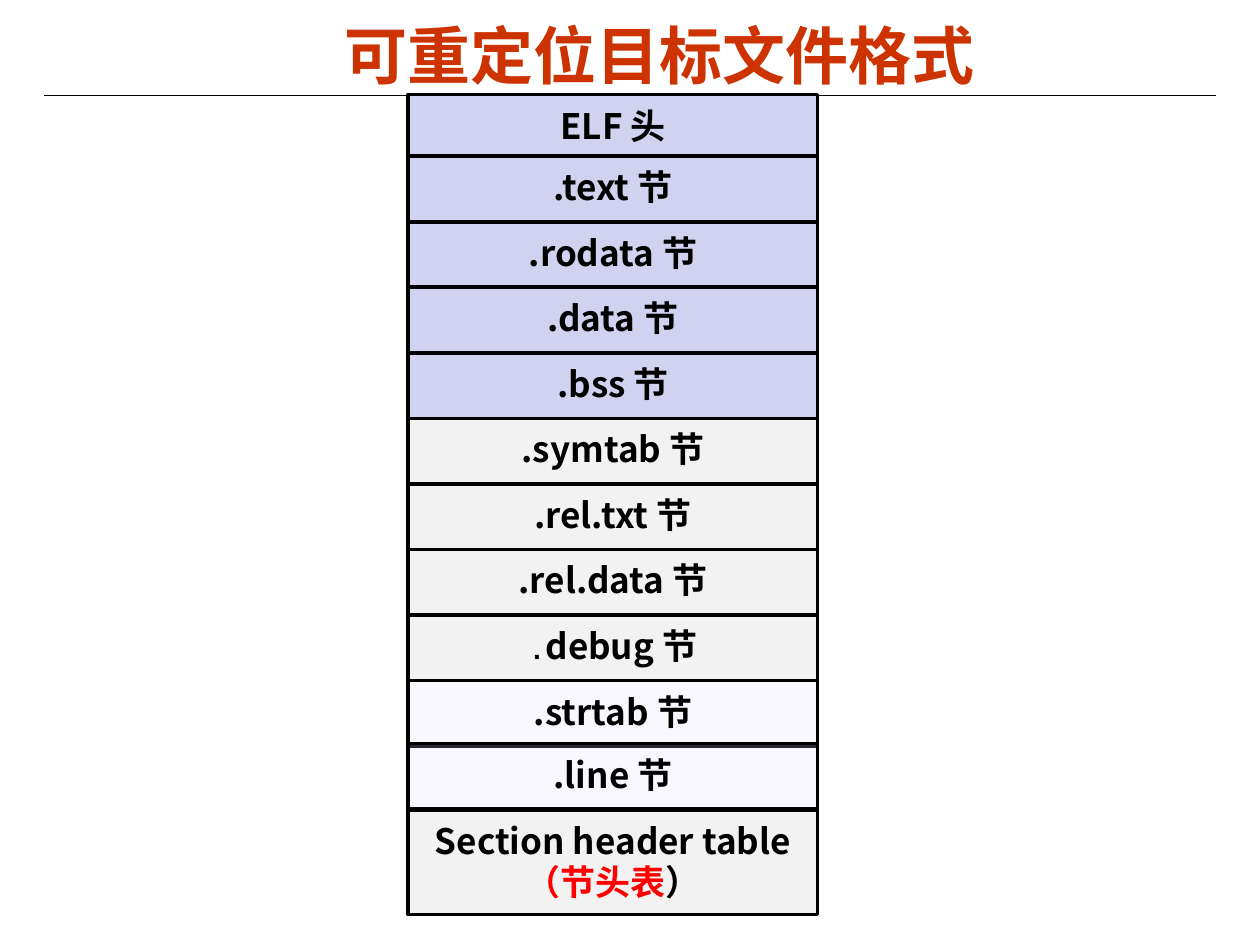
from lxml import etree
from pptx import Presentation
from pptx.dml.color import RGBColor
from pptx.enum.shapes import MSO_CONNECTOR, MSO_SHAPE
from pptx.enum.text import MSO_ANCHOR, PP_ALIGN
from pptx.oxml.ns import qn
from pptx.util import Inches, Pt

RECTANGLE = MSO_SHAPE.RECTANGLE
STRAIGHT = MSO_CONNECTOR.STRAIGHT
CENTER = PP_ALIGN.CENTER
MIDDLE = MSO_ANCHOR.MIDDLE

BLACK = RGBColor(0x00, 0x00, 0x00)
RED = RGBColor(0xFF, 0x00, 0x00)
TITLE_RED = RGBColor(0xCC, 0x33, 0x00)
LAVENDER = RGBColor(0xD1, 0xD1, 0xF0)
PALE_LAVENDER = RGBColor(0xD6, 0xD6, 0xF5)
GRAY = RGBColor(0xF2, 0xF2, 0xF2)

CJK_FONT = "Noto Sans CJK SC"
COLUMN_LEFT, COLUMN_WIDTH = 3.24, 3.25
ROW_HEIGHT = 0.52
HEADER_TOP, SECTIONS_TOP, LINE_TOP, TABLE_TOP = 0.75, 1.24, 5.9, 6.43
TABLE_HEIGHT = 0.83

SECTIONS = [
    (".text", LAVENDER),
    (".rodata", LAVENDER),
    (".data", LAVENDER),
    (".bss", LAVENDER),
    (".symtab", GRAY),
    (".rel.txt", GRAY),
    (".rel.data", GRAY),
    (".debug", GRAY),
    (".strtab", PALE_LAVENDER),
]


def add_span(para, text, size=20, font=CJK_FONT, color=BLACK):
    span = para.add_run()
    span.text = text
    span.font.size = Pt(size)
    span.font.bold = True
    span.font.name = font
    span.font.color.rgb = color
    east_asian = etree.SubElement(span._r.get_or_add_rPr(), qn("a:ea"))
    east_asian.set("typeface", CJK_FONT)


def add_title(page, text):
    title = page.shapes.title
    title.left, title.top = Inches(0.47), 0
    title.width, title.height = Inches(9.53), Inches(0.86)
    title.text_frame.vertical_anchor = MIDDLE
    para = title.text_frame.paragraphs[0]
    para.alignment = CENTER
    add_span(para, text, size=36, font="Arial", color=TITLE_RED)


def add_rule(page, left, right, top):
    rule = page.shapes.add_connector(
        STRAIGHT, Inches(left), Inches(top), Inches(right), Inches(top))
    rule.line.color.rgb = BLACK
    rule.line.width = Pt(0.75)
    etree.SubElement(rule._element.spPr, qn("a:effectLst"))


def set_opacity(box, percent):
    color = box._element.spPr.find(qn("a:solidFill"))[0]
    etree.SubElement(color, qn("a:alpha")).set("val", str(percent * 1000))


def add_row(page, top, fill, lines, height=ROW_HEIGHT, spacing=0.94):
    box = page.shapes.add_shape(
        RECTANGLE, Inches(COLUMN_LEFT), Inches(top),
        Inches(COLUMN_WIDTH), Inches(height))
    box.shadow.inherit = False
    box.fill.solid()
    box.fill.fore_color.rgb = fill
    if fill == PALE_LAVENDER:
        set_opacity(box, 19)
    box.line.color.rgb = BLACK
    box.line.width = Pt(2)
    frame = box.text_frame
    frame.word_wrap = False
    frame.vertical_anchor = MIDDLE
    for index, spans in enumerate(lines):
        para = frame.add_paragraph() if index else frame.paragraphs[0]
        para.alignment = CENTER
        para.line_spacing = spacing
        for text, style in spans:
            add_span(para, text, **style)


def section_spans(name):
    if name == ".debug":
        return [(".", {"size": 16, "font": "Courier New"}), ("debug 节", {})]
    return [(f"{name} 节", {})]


def main():
    deck = Presentation()
    deck.slide_width, deck.slide_height = Inches(10), Inches(7.5)
    page = deck.slides.add_slide(deck.slide_layouts[5])
    add_rule(page, 0.35, 9.65, 0.76)
    add_title(page, "可重定位目标文件格式")
    add_row(page, HEADER_TOP, LAVENDER, [[("ELF 头", {})]], spacing=0.98)
    for index, (name, fill) in enumerate(SECTIONS):
        top = SECTIONS_TOP + index * ROW_HEIGHT
        add_row(page, top, fill, [section_spans(name)])
    add_row(page, LINE_TOP, PALE_LAVENDER, [section_spans(".line")])
    table_lines = [
        [("Section header table", {})],
        [("（节头表", {"color": RED}), ("）", {})],
    ]
    add_row(page, TABLE_TOP, GRAY, table_lines, TABLE_HEIGHT, spacing=0.98)
    deck.save("out.pptx")


if __name__ == "__main__":
    main()
